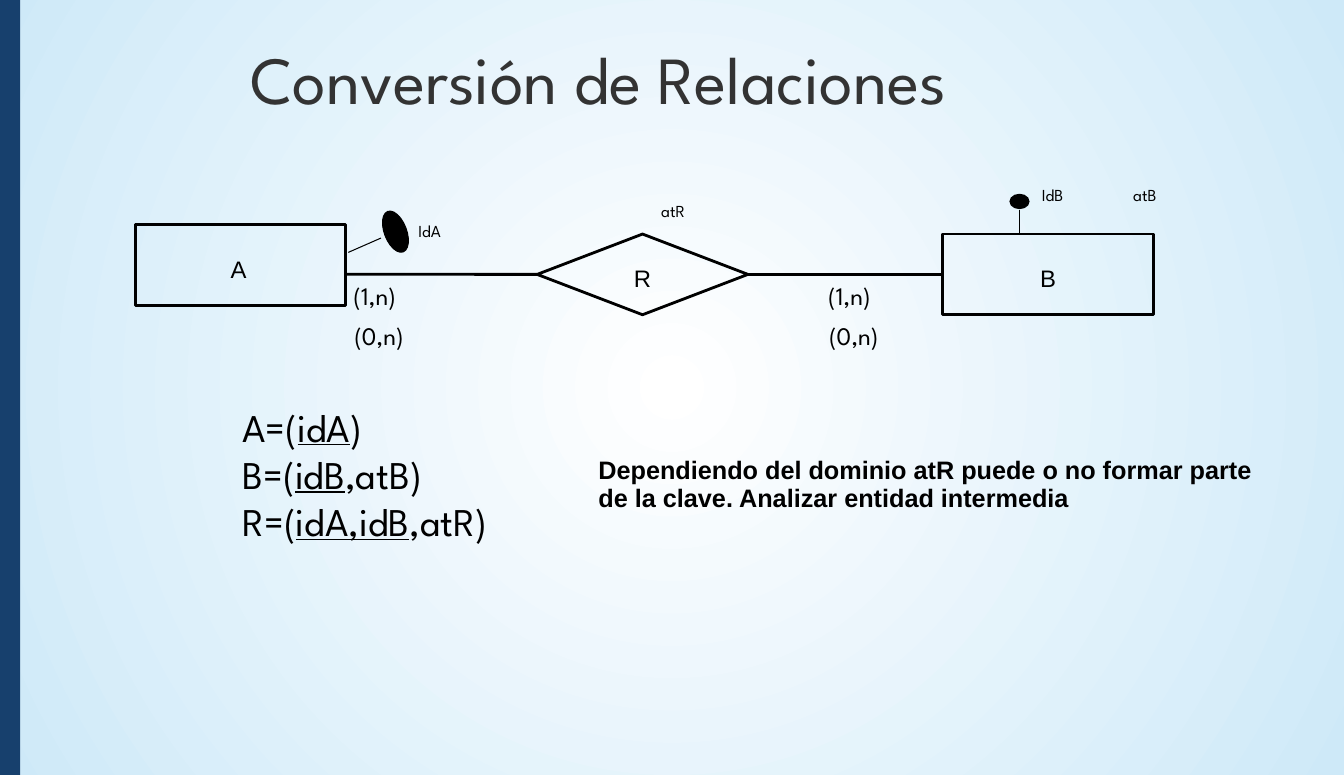
from pptx import Presentation
from pptx.dml.color import RGBColor
from pptx.enum.shapes import MSO_CONNECTOR, MSO_SHAPE
from pptx.enum.text import MSO_ANCHOR, PP_ALIGN
from pptx.oxml import parse_xml
from pptx.oxml.ns import nsdecls, qn
from pptx.util import Cm, Pt

SPARTAN = "League Spartan"
ARIAL = "Arial"
BLACK = "000000"
WIDE, HIGH = 33.8, 19.5


def color(code):
    return RGBColor.from_string(code)


def backdrop(slide):
    fill = slide.background.fill
    fill.gradient()
    for stop, code in zip(fill.gradient_stops, ("FFFFFF", "CEE9F8")):
        stop.color.rgb = color(code)
    # Radial shading from the centre of the slide
    grad = slide._element.find(".//" + qn("a:gradFill"))
    grad.replace(grad.find(qn("a:lin")), parse_xml(
        f'<a:path {nsdecls("a")} path="circle">'
        '<a:fillToRect l="50000" t="50000" r="50000" b="50000"/></a:path>'))


def write(para, text, size, font=SPARTAN, code=BLACK, bold=False, under=False):
    run = para.add_run()
    run.text = text
    run.font.size = Pt(size)
    run.font.name = font
    run.font.color.rgb = color(code)
    run.font.bold = bold
    run.font.underline = under


def textbox(slide, x, y, w, h, side=0.3, top=0.15):
    frame = slide.shapes.add_textbox(Cm(x), Cm(y), Cm(w), Cm(h)).text_frame
    frame.word_wrap = True
    frame.margin_left = frame.margin_right = Cm(side)
    frame.margin_top = frame.margin_bottom = Cm(top)
    return frame


def label(slide, text, x, y, w, h, size, code=BLACK):
    frame = textbox(slide, x, y, w, h)
    write(frame.paragraphs[0], text, size, code=code)


def shape(slide, kind, x, y, w, h, fill=None, width=None):
    item = slide.shapes.add_shape(kind, Cm(x), Cm(y), Cm(w), Cm(h))
    item.shadow.inherit = False
    if fill:
        item.fill.solid()
        item.fill.fore_color.rgb = color(fill)
    else:
        item.fill.background()
    if width:
        item.line.color.rgb = color(BLACK)
        item.line.width = Pt(width)
    else:
        item.line.fill.background()
    return item


def node(slide, kind, name, x, y):
    item = shape(slide, kind, x, y, 5.3, 2.03, width=2)
    frame = item.text_frame
    frame.margin_top, frame.margin_bottom = Cm(0.2), Cm(0)
    frame.vertical_anchor = MSO_ANCHOR.MIDDLE
    para = frame.paragraphs[0]
    para.alignment = PP_ALIGN.CENTER
    write(para, name, 17, ARIAL)
    return item


def link(slide, x1, y1, x2, y2, width, start=None, end=None):
    line = slide.shapes.add_connector(
        MSO_CONNECTOR.STRAIGHT, Cm(x1), Cm(y1), Cm(x2), Cm(y2))
    line.line.color.rgb = color(BLACK)
    line.line.width = Pt(width)
    line._element.spPr.append(parse_xml(f'<a:effectLst {nsdecls("a")}/>'))
    if start:
        line.begin_connect(*start)
    if end:
        line.end_connect(*end)


def schema(slide, rows):
    frame = textbox(slide, 5.8, 9.99, 14.4, 3.86)
    for i, (head, keys, tail) in enumerate(rows):
        para = frame.add_paragraph() if i else frame.paragraphs[0]
        write(para, head, 28)
        write(para, keys, 28, under=True)
        write(para, tail, 28)


def main():
    deck = Presentation()
    deck.slide_width, deck.slide_height = Cm(WIDE), Cm(HIGH)
    slide = deck.slides.add_slide(deck.slide_layouts[6])

    # Background, side bar and title
    backdrop(slide)
    shape(slide, MSO_SHAPE.RECTANGLE, 0, 0, 0.51, HIGH, fill="17406D")
    label(slide, "Conversión de Relaciones", 6, 0.79, 27.5, 2.82, 48, "333333")

    # Entities and relation
    left = node(slide, MSO_SHAPE.RECTANGLE, "A", 3.4, 5.65)
    left.text_frame.margin_right = Cm(0.35)
    rel = node(slide, MSO_SHAPE.FLOWCHART_DECISION, "R", 13.51, 5.89)
    right = node(slide, MSO_SHAPE.RECTANGLE, "B", 23.71, 5.89)
    link(slide, 8.7, 6.9, 13.51, 6.9, 2, end=(rel, 1))
    link(slide, 18.81, 6.9, 23.71, 6.9, 2, start=(rel, 3), end=(right, 1))

    # Cardinalities
    for x in (8.59, 20.53):
        for i, text in enumerate(("(1,n)", "(0,n)")):
            label(slide, text, x + 0.02 * i, 6.9 + i, 3.73, 1.07, 18)

    # Key attributes
    link(slide, 25.65, 5.87, 25.65, 5.28, 0.75)
    shape(slide, MSO_SHAPE.OVAL, 25.4, 4.89, 0.48, 0.36, BLACK, 0.75)
    link(slide, 8.76, 6.35, 9.58, 5.99, 0.75)
    tilted = shape(slide, MSO_SHAPE.OVAL, 9.4, 5.55, 1.09, 0.56, BLACK, 0.75)
    tilted.rotation = 69
    for text, x, y in (("IdA", 10.22, 5.41), ("IdB", 25.9, 4.5),
                       ("atB", 28.2, 4.5), ("atR", 16.33, 4.9)):
        label(slide, text, x, y, 2.7, 0.81, 12)

    # Resulting schemas
    schema(slide, (("A=(", "idA", ")"),
                   ("B=(", "idB", ",atB)"),
                   ("R=(", "idA,idB", ",atR)")))

    # Remark
    note = textbox(slide, 14.8, 11.37, 17.48, 2.44, 0.25, 0.13).paragraphs[0]
    note.line_spacing = 0.93
    write(note, "Dependiendo del dominio atR puede o no formar parte de la clave. "
                "Analizar entidad intermedia", 18, ARIAL, bold=True)

    deck.save("out.pptx")


if __name__ == "__main__":
    main()
